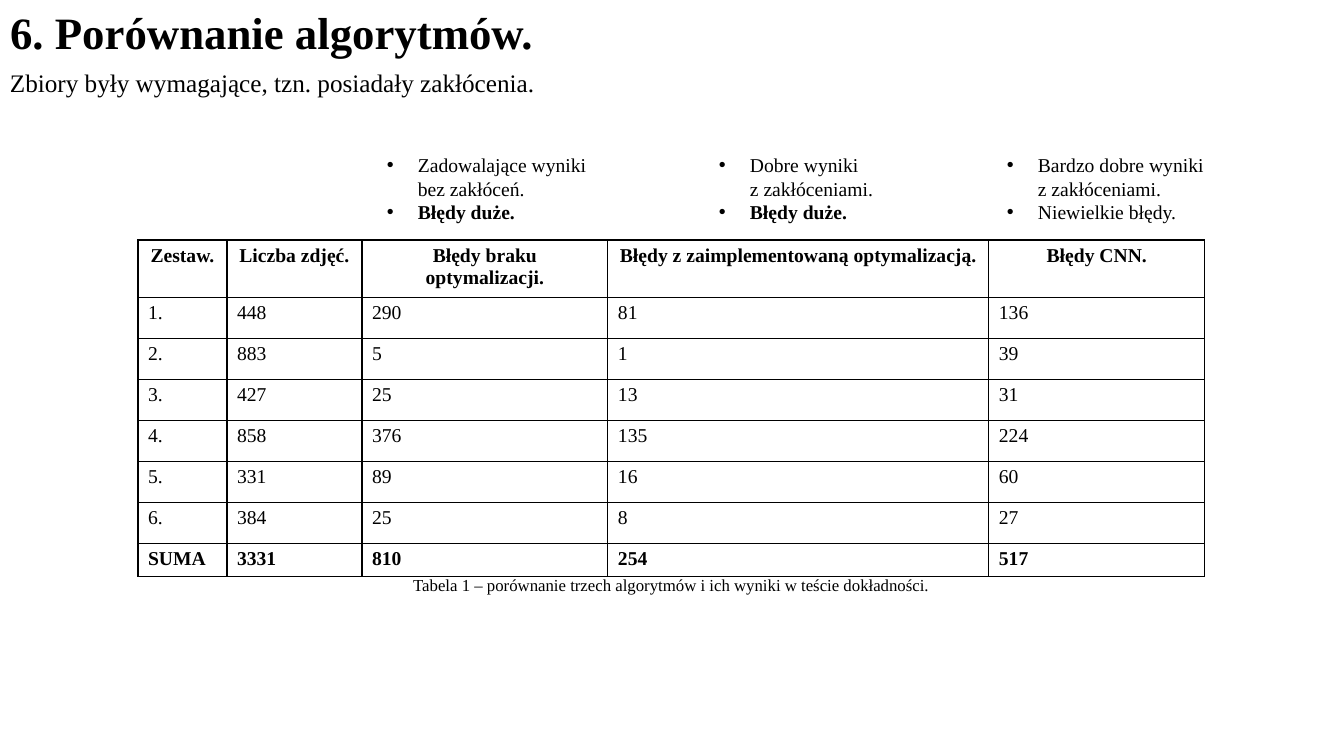
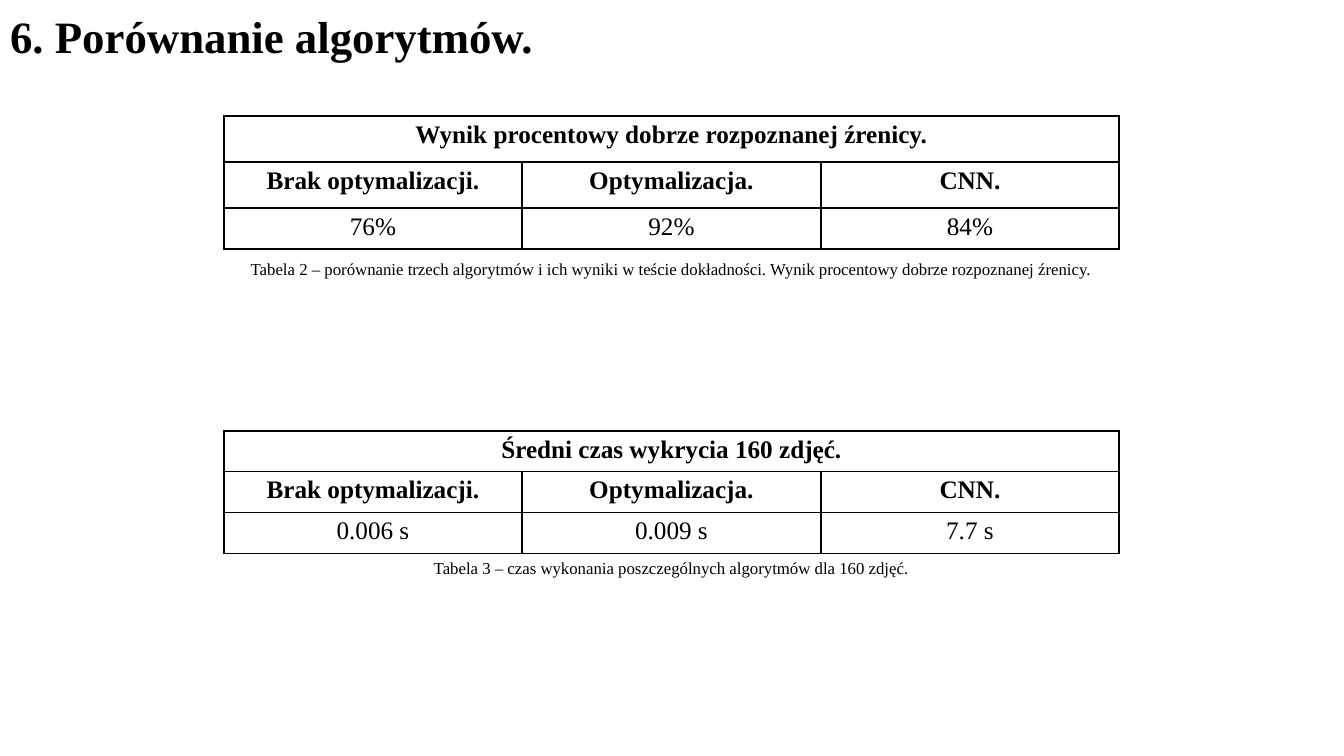
from copy import deepcopy

from pptx import Presentation
from pptx import util as u
from pptx.dml.color import RGBColor
from pptx.enum import text
from pptx.oxml import parse_xml
from pptx.oxml.ns import nsdecls, qn

# Shared style
BLACK = RGBColor(0x00, 0x00, 0x00)
FONT = "Times New Roman"
TITLE = "6. Porównanie algorytmów."
SLIDE_W, SLIDE_H = 1344, 756
LEFT, CENTER = text.PP_ALIGN.LEFT, text.PP_ALIGN.CENTER


def px(n):
    return u.Emu(round(n * 914400 / 100.8))


def write(p, words, size, bold=False, align=LEFT):
    """Fill one paragraph; a newline in the words becomes a line break."""
    p.text = words
    p.alignment = align
    for r in p.runs:
        r.font.name, r.font.size, r.font.bold = FONT, u.Pt(size), bold
        r.font.color.rgb = BLACK
    for br in p._p.findall(qn("a:br")):
        br.append(deepcopy(p.runs[0]._r.rPr))


def add_bullet(p, indent=31):
    pPr = p._p.get_or_add_pPr()
    pPr.set("marL", str(px(indent)))
    pPr.set("indent", str(-px(indent)))
    pPr.append(parse_xml(f'<a:buFont {nsdecls("a")} typeface="Arial"/>'))
    pPr.append(parse_xml(f'<a:buChar {nsdecls("a")} char="•"/>'))


def add_text(s, box, lines, size, align=LEFT, bullets=False):
    """Text box; each line is a (words, bold) pair."""
    tf = s.shapes.add_textbox(*map(px, box)).text_frame
    tf.word_wrap = True
    for i, (words, bold) in enumerate(lines):
        p = tf.paragraphs[0] if i == 0 else tf.add_paragraph()
        write(p, words, size, bold, align)
        if bullets:
            add_bullet(p)


def add_caption(s, x, y, w, words):
    add_text(s, (x, y, w, 30), [(words, False)], 12, CENTER)


def set_borders(cell):
    tcPr = cell._tc.get_or_add_tcPr()
    for i, side in enumerate("LRTB"):
        tcPr.insert(i, parse_xml(
            f'<a:ln{side} {nsdecls("a")} w="{u.Pt(1)}"><a:solidFill>'
            f'<a:srgbClr val="{BLACK}"/></a:solidFill></a:ln{side}>'))


def add_grid(s, x, y, cols, heights, rows, size, bold_rows, center_rows):
    """Plain ruled table; a row with one entry spans all columns."""
    table = s.shapes.add_table(len(rows), len(cols), px(x), px(y),
                               px(sum(cols)), px(sum(heights))).table
    table.first_row = table.horz_banding = False
    for col, w in zip(table.columns, cols):
        col.width = px(w)
    for i, (row, h, values) in enumerate(zip(table.rows, heights, rows)):
        row.height = px(h)
        for cell in row.cells:
            cell.fill.background()
            set_borders(cell)
        if len(values) == 1:
            row.cells[0].merge(row.cells[len(cols) - 1])
        for cell, words in zip(row.cells, values):
            write(cell.text_frame.paragraphs[0], words, size, i in bold_rows,
                  CENTER if i in center_rows else LEFT)


def new_slide(prs, title_w, title_h):
    s = prs.slides.add_slide(prs.slide_layouts[5])
    sp = s.shapes.title
    sp.left, sp.top, sp.width, sp.height = map(px, (0, 0, title_w, title_h))
    tf = sp.text_frame
    tf.auto_size = text.MSO_AUTO_SIZE.NONE
    tf.vertical_anchor = text.MSO_ANCHOR.MIDDLE
    write(tf.paragraphs[0], TITLE, 32, True)
    tf.paragraphs[0].line_spacing = 0.9
    return s


def errors_slide(prs):
    s = new_slide(prs, SLIDE_W, 69)
    add_text(s, (0, 62, 598, 40),
             [("Zbiory były wymagające, tzn. posiadały zakłócenia.", False)], 18)

    # Remarks above the three algorithm columns
    remarks = [
        (377, 240, "Zadowalające wyniki bez zakłóceń.", ("Błędy duże.", True)),
        (709, 231, "Dobre wyniki\nz zakłóceniami.", ("Błędy duże.", True)),
        (997, 231, "Bardzo dobre wyniki\nz zakłóceniami.",
         ("Niewielkie błędy.", False)),
    ]
    for x, w, verdict, errors in remarks:
        add_text(s, (x, 148, w, 82), [(verdict, False), errors], 14,
                 bullets=True)

    # Error counts per data set
    rows = [
        ("Zestaw.", "Liczba zdjęć.", "Błędy braku optymalizacji.",
         "Błędy z zaimplementowaną optymalizacją.", "Błędy CNN."),
        ("1.", "448", "290", "81", "136"),
        ("2.", "883", "5", "1", "39"),
        ("3.", "427", "25", "13", "31"),
        ("4.", "858", "376", "135", "224"),
        ("5.", "331", "89", "16", "60"),
        ("6.", "384", "25", "8", "27"),
        ("SUMA", "3331", "810", "254", "517"),
    ]
    x, cols = 138, (89, 135, 246, 381, 216)
    add_grid(s, x, 240, cols, [57] + [41] * 6 + [33], rows, 14,
             bold_rows=(0, 7), center_rows=(0,))
    add_caption(s, x, 570, sum(cols), "Tabela 1 – porównanie trzech algorytmów "
                "i ich wyniki w teście dokładności.")


def result_block(s, x, y, heights, heading, values, gap, caption):
    """Three-algorithm result table with its caption below."""
    cols = (298, 299, 298)
    rows = [(heading,), ("Brak optymalizacji.", "Optymalizacja.", "CNN."), values]
    add_grid(s, x, y, cols, heights, rows, 18,
             bold_rows=(0, 1), center_rows=(0, 1, 2))
    add_caption(s, x, y + sum(heights) + gap, sum(cols), caption)


def results_slide(prs):
    s = new_slide(prs, 1159, 77)
    result_block(s, 224, 116, (46, 46, 41),
                 "Wynik procentowy dobrze rozpoznanej źrenicy.",
                 ("76%", "92%", "84%"), 5,
                 "Tabela 2 – porównanie trzech algorytmów i ich wyniki w teście "
                 "dokładności. Wynik procentowy dobrze rozpoznanej źrenicy.")
    result_block(s, 224, 431, (40, 41, 41),
                 "Średni czas wykrycia 160 zdjęć.",
                 ("0.006 s", "0.009 s", "7.7 s"), 0,
                 "Tabela 3 – czas wykonania poszczególnych algorytmów "
                 "dla 160 zdjęć.")


def main():
    prs = Presentation()
    prs.slide_width, prs.slide_height = px(SLIDE_W), px(SLIDE_H)
    errors_slide(prs)
    results_slide(prs)
    prs.save("out.pptx")


if __name__ == "__main__":
    main()
